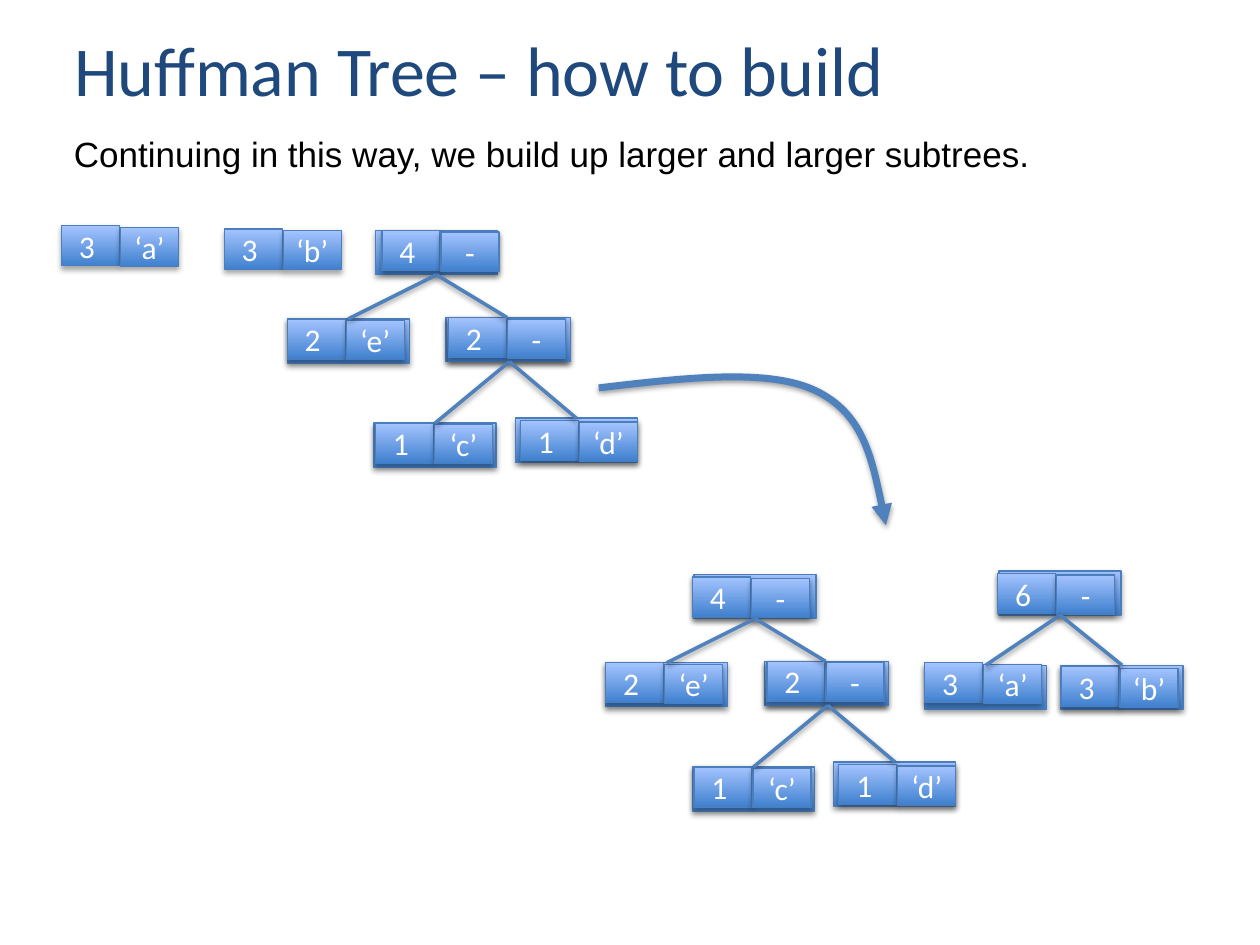
import pptx
import pptx.dml.color
import pptx.enum.shapes
import pptx.enum.text
import pptx.oxml
import pptx.oxml.ns
import pptx.util
from pptx.util import Cm

COLORS = {
    "title": "1F497D", "body": "000000", "cell_text": "FFFFFF",
    "dark": "3F80CE", "light": "A4C4FF", "border": "4B7EBC",
    "edge": "4F81BD",
}
FRAME_WIDTH, FRAME_HEIGHT = 2.46, 0.89
CELL_WIDTH, COUNT_HEIGHT, SYMBOL_HEIGHT = 1.17, 0.81, 0.79
SYMBOL_SHIFT = (1.19, 0.03)


def rgb(name):
    """Return the named colour."""
    return pptx.dml.color.RGBColor.from_string(COLORS[name])


class SlideBuilder:
    """Holds the style and the current slide."""

    def __init__(self, page):
        """Start drawing on a page."""
        self.page = page

    def set_text(self, box, text, size, color, font, align, anchor):
        """Put one formatted paragraph into a shape."""
        frame = box.text_frame
        frame.word_wrap = True
        frame.auto_size = pptx.enum.text.MSO_AUTO_SIZE.NONE
        frame.vertical_anchor = anchor
        para = frame.paragraphs[0]
        para.text = text
        para.alignment = align
        para.font.size = pptx.util.Pt(size)
        para.font.name = font
        para.font.color.rgb = rgb(color)
        return frame

    def heading(self, box, left, top, width, height, text, size, color, font):
        """Place and fill a left-aligned text shape."""
        box.left, box.top = Cm(left), Cm(top)
        box.width, box.height = Cm(width), Cm(height)
        self.set_text(box, text, size, color, font, pptx.enum.text.PP_ALIGN.LEFT,
                      pptx.enum.text.MSO_ANCHOR.TOP)

    def title(self, text, *place):
        """Fill the title placeholder."""
        self.heading(self.page.shapes.title, *place, text, 40, "title", "Calibri")

    def body(self, text, *place):
        """Add the sentence below the title."""
        box = self.page.shapes.add_textbox(0, 0, 0, 0)
        self.heading(box, *place, text, 20, "body", "Arial")

    def shadow(self, shape, distance, opacity):
        """Give a shape a soft shadow straight below it."""
        properties = shape._element.spPr
        for old in properties.findall(pptx.oxml.ns.qn("a:effectLst")):
            properties.remove(old)
        properties.append(pptx.oxml.parse_xml(
            f'<a:effectLst {pptx.oxml.ns.nsdecls("a")}>'
            f'<a:outerShdw blurRad="40000" dist="{distance}" dir="5400000" rotWithShape="0">'
            f'<a:srgbClr val="000000"><a:alpha val="{opacity * 1000}"/></a:srgbClr>'
            '</a:outerShdw></a:effectLst>'))

    def block(self, group, left, top, width, height, text=None):
        """Add a shaded rectangle to a group."""
        box = group.shapes.add_shape(
            pptx.enum.shapes.MSO_SHAPE.RECTANGLE,
            Cm(left), Cm(top), Cm(width), Cm(height))
        box.fill.gradient()
        box.fill.gradient_angle = 90
        for stop, color, position in zip(box.fill.gradient_stops, ("dark", "light"), (0, 1)):
            stop.color.rgb = rgb(color)
            stop.position = position
        box.line.color.rgb = rgb("border")
        box.line.width = pptx.util.Pt(0.75)
        self.shadow(box, 23000, 35)
        if text:
            frame = self.set_text(box, text, 18, "cell_text", "Calibri",
                                  pptx.enum.text.PP_ALIGN.CENTER,
                                  pptx.enum.text.MSO_ANCHOR.MIDDLE)
            frame.margin_left = frame.margin_right = 0
            frame.margin_top = frame.margin_bottom = 0

    def node(self, left, top, count, symbol, shift=(0, 0), frames=(0,)):
        """Add a node: backing frames, a count cell and a symbol cell."""
        group = self.page.shapes.add_group_shape()
        for offset in frames:
            self.block(group, left + offset, top, FRAME_WIDTH, FRAME_HEIGHT)
        left, top = left + shift[0], top + shift[1]
        self.block(group, left, top, CELL_WIDTH, COUNT_HEIGHT, f"{count} ")
        self.block(group, left + SYMBOL_SHIFT[0], top + SYMBOL_SHIFT[1],
                   CELL_WIDTH, SYMBOL_HEIGHT, symbol)

    def edges(self, parent, *children):
        """Join a parent's bottom centre to each child's top centre."""
        half = FRAME_WIDTH / 2
        for child in children:
            line = self.page.shapes.add_connector(
                pptx.enum.shapes.MSO_CONNECTOR.STRAIGHT,
                Cm(parent[0] + half), Cm(parent[1] + FRAME_HEIGHT),
                Cm(child[0] + half), Cm(child[1]))
            line.line.color.rgb = rgb("edge")
            line.line.width = pptx.util.Pt(2)
            self.shadow(line, 20000, 38)

    def curved_arrow(self, points):
        """Draw a Bezier arrow through a start and triples of points."""
        points = [(Cm(x), Cm(y)) for x, y in points]
        builder = self.page.shapes.build_freeform(*points[0])
        builder.add_line_segments(points[1:], close=False)
        arrow = builder.convert_to_shape()
        qn = pptx.oxml.ns.qn
        outline_path = next(arrow._element.iter(qn("a:path")))
        segments = outline_path.findall(qn("a:lnTo"))
        for start in range(0, len(segments), 3):
            curve = outline_path.makeelement(qn("a:cubicBezTo"), {})
            outline_path.append(curve)
            for segment in segments[start:start + 3]:
                curve.append(segment[0])
                outline_path.remove(segment)
        arrow.fill.background()
        arrow.line.color.rgb = rgb("edge")
        arrow.line.width = pptx.util.Pt(4)
        outline = arrow._element.spPr.find(qn("a:ln"))
        outline.append(outline.makeelement(qn("a:tailEnd"), {"type": "triangle"}))
        self.shadow(arrow, 20000, 38)

    def four_tree(self, left, top, root_shift):
        """Draw the subtree of weight four with its root frame at left, top."""
        root = (left, top)
        leaf_e = (left - 1.78, top + 1.78)
        inner = (left + 1.42, top + 1.75)
        leaf_c = (left - 0.03, top + 3.88)
        leaf_d = (left + 2.82, top + 3.78)
        self.node(*leaf_c, 1, "‘c’", (0.03, 0))
        self.node(*leaf_d, 1, "‘d’", (0.1, 0.05))
        self.node(*leaf_e, 2, "‘e’")
        self.node(*inner, 2, "-", (0.05, 0), (0, 0.05))
        self.edges((inner[0] + 0.05, inner[1]), leaf_c, leaf_d)
        self.node(*root, 4, "-", root_shift)
        self.edges(root, leaf_e, inner)

    def six_tree(self, left, top):
        """Draw the subtree of weight six with its root frame at left, top."""
        root = (left, top)
        leaf_a = (left - 1.5, top + 1.9)
        leaf_b = (left + 1.25, top + 1.9)
        self.node(*leaf_b, 3, "‘b’", (0, 0.03))
        self.node(*leaf_a, 3, "‘a’", (0, -0.05))
        self.node(*root, 6, "-", (-0.03, 0.05))
        self.edges(root, leaf_a, leaf_b)


def main():
    """Build and save the deck."""
    deck = pptx.Presentation()
    deck.slide_width, deck.slide_height = Cm(25.4), Cm(19.05)
    slide = SlideBuilder(deck.slides.add_slide(deck.slide_layouts[5]))
    slide.body("Continuing in this way, we build up larger and larger subtrees.",
               1.24, 2.54, 22.07, 1.12)
    slide.curved_arrow([(12.07, 7.82), (13.77, 7.62), (15.47, 7.42), (16.43, 7.87),
                        (17.4, 8.33), (17.63, 9.45), (17.86, 10.59)])
    slide.title("Huffman Tree – how to build", 1.24, 0.41, 18.59, 1.96)
    slide.node(1.24, 4.55, 3, "‘a’", frames=())
    slide.node(4.52, 4.62, 3, "‘b’", frames=())
    slide.four_tree(7.57, 4.65, (0.13, 0))
    slide.four_tree(13.99, 11.58, (-0.03, 0.05))
    slide.six_tree(20.14, 11.51)
    deck.save("out.pptx")


main()
